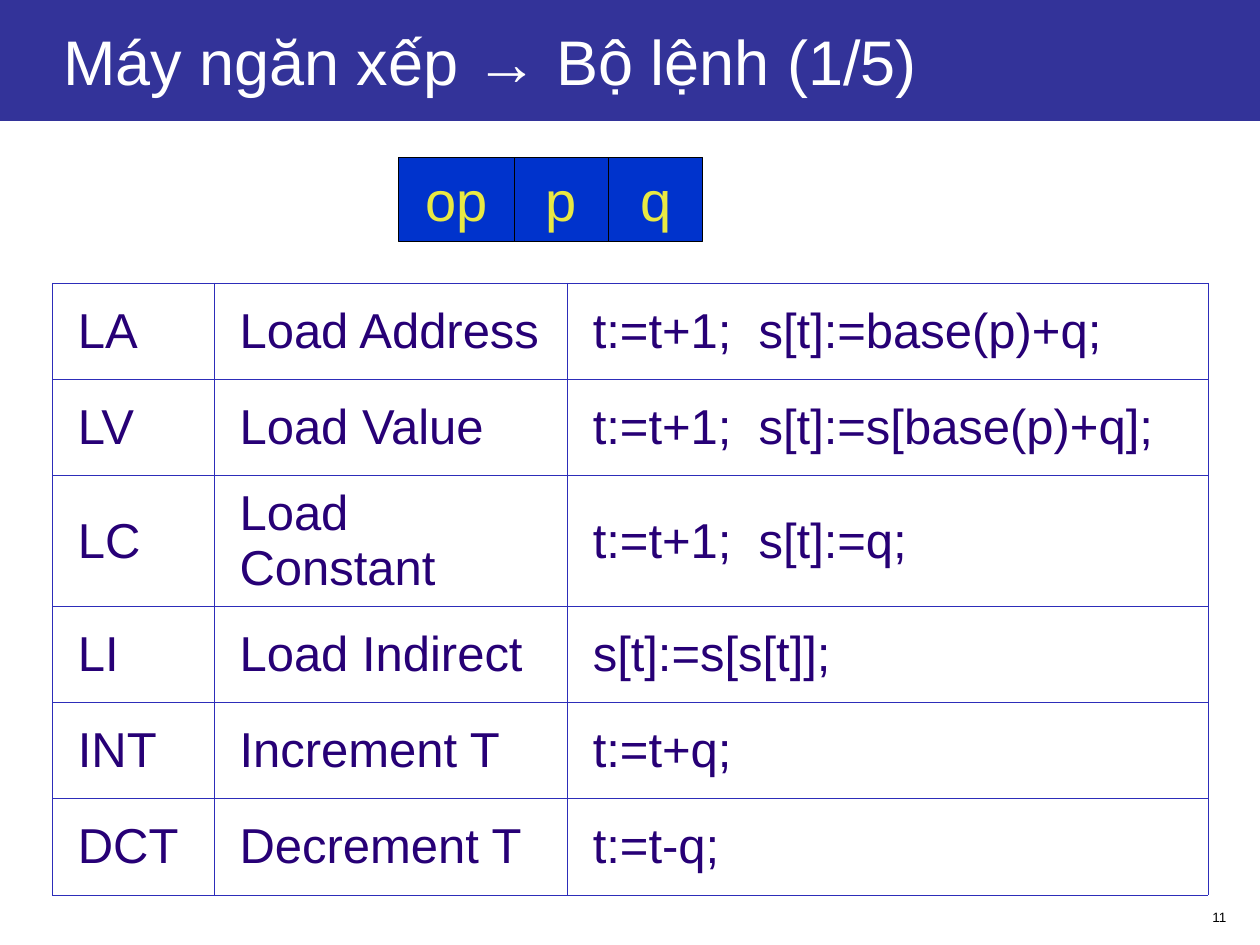
import pptx
import pptx.dml.color
import pptx.enum.shapes
import pptx.enum.text
import pptx.oxml
import pptx.oxml.ns
import pptx.util
from pptx.util import Cm

ALIGN = pptx.enum.text.PP_ALIGN
MIDDLE = pptx.enum.text.MSO_ANCHOR.MIDDLE
BORDER_TAGS = ("a:lnL", "a:lnR", "a:lnT", "a:lnB")

INSTRUCTION_FIELDS = [("op", 2.33), ("p", 1.9), ("q", 1.9)]
INSTRUCTIONS = [
    ("LA", "Load Address", "t:=t+1;  s[t]:=base(p)+q;"),
    ("LV", "Load Value", "t:=t+1;  s[t]:=s[base(p)+q];"),
    ("LC", "Load Constant", "t:=t+1;  s[t]:=q;"),
    ("LI", "Load Indirect", "s[t]:=s[s[t]];"),
    ("INT", "Increment T", "t:=t+q;"),
    ("DCT", "Decrement T", "t:=t-q;"),
]
COLUMN_WIDTHS = (3.26, 7.12, 12.91)
ROW_HEIGHT = 1.94


def color(value):
    return pptx.dml.color.RGBColor.from_string(value)


def set_text(text_frame, text, size, text_color, alignment):
    text_frame.text = text
    paragraph = text_frame.paragraphs[0]
    paragraph.alignment = alignment
    font = paragraph.runs[0].font
    font.name = "Arial"
    font.size = pptx.util.Pt(size)
    font.color.rgb = color(text_color)


def set_margins(box, left):
    box.margin_left = Cm(left)
    box.margin_right = Cm(0.25)
    box.margin_top = box.margin_bottom = Cm(0.13)


def add_title(slide, text):
    title = slide.shapes.title
    title.left, title.top = Cm(0), Cm(0)
    title.width, title.height = Cm(25.4), Cm(2.44)
    title.fill.solid()
    title.fill.fore_color.rgb = color("333399")
    text_frame = title.text_frame
    text_frame.auto_size = pptx.enum.text.MSO_AUTO_SIZE.NONE
    text_frame.vertical_anchor = MIDDLE
    set_margins(text_frame, 1.27)
    set_text(text_frame, text, 36, "FFFFFF", ALIGN.LEFT)


def add_field_box(slide, text, left, width):
    box = slide.shapes.add_shape(
        pptx.enum.shapes.MSO_SHAPE.RECTANGLE, Cm(left), Cm(3.17), Cm(width), Cm(1.7))
    box.shadow.inherit = False
    box.fill.solid()
    box.fill.fore_color.rgb = color("0033CC")
    box.line.color.rgb = color("000000")
    box.line.width = pptx.util.Pt(0.75)
    box.text_frame.word_wrap = False
    box.text_frame.vertical_anchor = MIDDLE
    set_margins(box.text_frame, 0.25)
    set_text(box.text_frame, text, 32, "E9E943", ALIGN.CENTER)


def set_borders(cell, line_color, width):
    """Draw all four sides; the lines must precede the fill in the cell's XML."""
    properties = cell._tc.get_or_add_tcPr()
    for index, tag in enumerate(BORDER_TAGS):
        border = pptx.oxml.parse_xml(
            f'<{tag} {pptx.oxml.ns.nsdecls("a")} w="{pptx.util.Pt(width)}">'
            f'<a:solidFill><a:srgbClr val="{line_color}"/></a:solidFill></{tag}>')
        properties.insert(index, border)


def add_instruction_table(slide):
    table = slide.shapes.add_table(
        len(INSTRUCTIONS), len(COLUMN_WIDTHS), Cm(1.06), Cm(5.71),
        Cm(sum(COLUMN_WIDTHS)), Cm(ROW_HEIGHT * len(INSTRUCTIONS))).table
    table.first_row = table.horz_banding = False
    for column, width in zip(table.columns, COLUMN_WIDTHS):
        column.width = Cm(width)
    for row, texts in zip(table.rows, INSTRUCTIONS):
        row.height = Cm(ROW_HEIGHT)
        for cell, text in zip(row.cells, texts):
            cell.fill.background()
            cell.vertical_anchor = MIDDLE
            set_margins(cell, 0.51)
            set_text(cell.text_frame, text, 28, "270076", ALIGN.JUSTIFY)
            set_borders(cell, "2D2DB9", 0.45)


def add_page_number(slide, text):
    box = slide.shapes.add_textbox(Cm(19.69), Cm(18.2), Cm(5.28), Cm(0.61))
    box.text_frame.word_wrap = True
    set_margins(box.text_frame, 0.25)
    set_text(box.text_frame, text, 7.7, "000000", ALIGN.RIGHT)


def main():
    presentation = pptx.Presentation()
    presentation.slide_width = Cm(25.4)
    presentation.slide_height = Cm(19.05)
    slide = presentation.slides.add_slide(presentation.slide_layouts[5])
    add_page_number(slide, "11")
    add_title(slide, "Máy ngăn xếp → Bộ lệnh (1/5)")
    add_instruction_table(slide)
    left = 8.04
    for text, width in INSTRUCTION_FIELDS:
        add_field_box(slide, text, left, width)
        left += width
    presentation.save("out.pptx")


if __name__ == "__main__":
    main()
